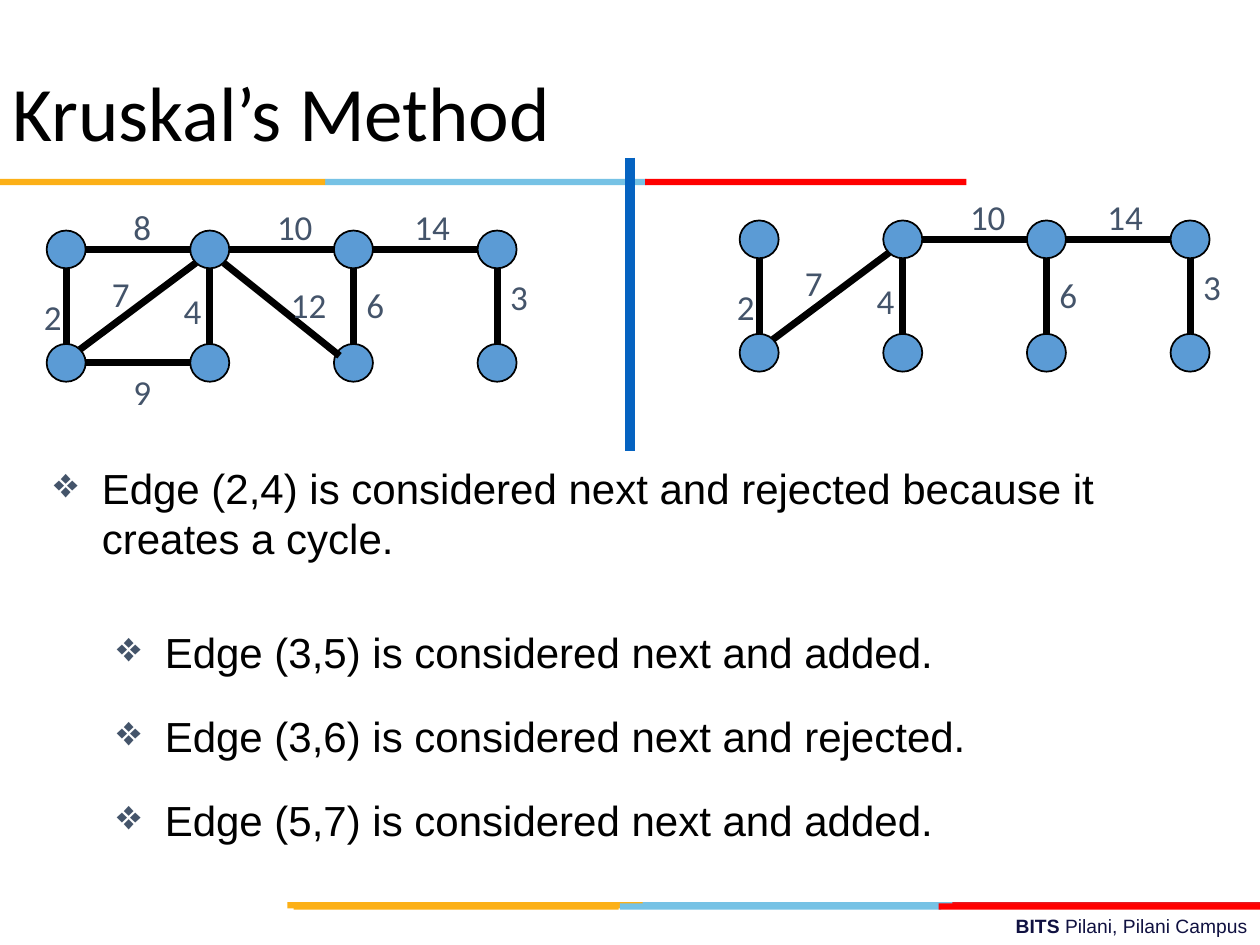
from dataclasses import dataclass

from lxml.etree import SubElement
from pptx import Presentation
from pptx.dml.color import RGBColor
from pptx.enum.shapes import MSO_CONNECTOR, MSO_SHAPE
from pptx.enum.text import MSO_ANCHOR, PP_ALIGN
from pptx.oxml.ns import qn
from pptx.util import Inches, Pt

BLACK = RGBColor(0x00, 0x00, 0x00)
SLATE = RGBColor(0x44, 0x54, 0x6A)
NODE = RGBColor(0x5B, 0x9B, 0xD5)
DIVIDER = RGBColor(0x05, 0x63, 0xC1)
NAVY = RGBColor(0x10, 0x11, 0x41)
GOLD = RGBColor(0xFC, 0xB0, 0x17)
SKY = RGBColor(0x76, 0xC2, 0xE5)
CRIMSON = RGBColor(0xE3, 0x1C, 0x24)
RED = RGBColor(0xFF, 0x00, 0x00)

SLIDE_W, SLIDE_H = 10, 7.5
NODE_W, NODE_H = 0.31, 0.3
COL_STEP, ROW_STEP = 1.14, 0.9
COLS, ROWS = 4, 2
DIAGONAL = 0.71


@dataclass(frozen=True)
class Bar:
    x: float
    y: float
    w: float
    color: RGBColor


@dataclass(frozen=True)
class Edge:
    start: tuple[int, int]
    end: tuple[int, int]
    cost: str
    label_x: float
    label_y: float
    label_w: float = 0.22
    end_drop: float = 0


@dataclass(frozen=True)
class Graph:
    x: float
    y: float
    edges: list[Edge]


BARS = [
    Bar(5.06, 7.16, 2.55, SKY),
    Bar(7.56, 7.16, 2.44, CRIMSON),
    Bar(2.28, 7.16, 2.82, GOLD),
    Bar(4.92, 7.17, 2.55, SKY),
    Bar(2.33, 7.17, 2.58, GOLD),
    Bar(7.45, 7.17, 2.55, RED),
    Bar(2.58, 1.42, 2.55, SKY),
    Bar(0, 1.42, 2.58, GOLD),
    Bar(5.12, 1.42, 2.55, RED),
]

EDGES = [
    Edge((0, 0), (0, 1), "2", -0.12, 0.47),
    Edge((1, 0), (1, 1), "4", 0.99, 0.42),
    Edge((2, 0), (2, 1), "6", 2.44, 0.37),
    Edge((3, 0), (3, 1), "3", 3.58, 0.31),
    Edge((0, 0), (1, 0), "8", 0.59, -0.25),
    Edge((1, 0), (2, 0), "10", 1.73, -0.25, 0.49),
    Edge((2, 0), (3, 0), "14", 2.82, -0.25, 0.54),
    Edge((0, 1), (1, 1), "9", 0.59, 1.06),
    Edge((0, 1), (1, 0), "7", 0.42, 0.28),
    Edge((1, 0), (2, 1), "12", 1.84, 0.37, 0.54, 0.05),
]
REJECTED = {"8", "9", "12"}
GRAPHS = [
    Graph(0.37, 1.83, EDGES),
    Graph(5.87, 1.75, [e for e in EDGES if e.cost not in REJECTED]),
]

MAIN_POINT = "Edge (2,4) is considered next and rejected because it creates a cycle."
STEPS = [
    "Edge (3,5) is considered next and added.",
    "Edge (3,6) is considered next and rejected.",
    "Edge (5,7) is considered next and added.",
]


def add_run(p, text: str, *, size: float, font: str, color: RGBColor = BLACK, bold: bool = False) -> None:
    r = p.add_run()
    r.text = text
    r.font.size = Pt(size)
    r.font.name = font
    r.font.color.rgb = color
    r.font.bold = bold


def add_box(slide, x: float, y: float, w: float, h: float):
    tf = slide.shapes.add_textbox(Inches(x), Inches(y), Inches(w), Inches(h)).text_frame
    tf.word_wrap = True
    return tf.paragraphs[0]


def add_shape(slide, kind, x: float, y: float, w: float, h: float, color: RGBColor):
    sp = slide.shapes.add_shape(kind, Inches(x), Inches(y), Inches(w), Inches(h))
    sp.shadow.inherit = False
    sp.fill.solid()
    sp.fill.fore_color.rgb = color
    sp.line.fill.background()
    return sp


def add_line(slide, x1: float, y1: float, x2: float, y2: float, color: RGBColor, width: float) -> None:
    ln = slide.shapes.add_connector(
        MSO_CONNECTOR.STRAIGHT, Inches(x1), Inches(y1), Inches(x2), Inches(y2))
    ln.line.color.rgb = color
    ln.line.width = Pt(width)
    SubElement(ln._element.spPr, qn("a:effectLst"))


def add_bullet(slide, text: str, x: float, y: float, w: float, h: float) -> None:
    p = add_box(slide, x, y, w, h)
    pPr = p._p.get_or_add_pPr()
    pPr.set("marL", str(Inches(0.38)))
    pPr.set("indent", str(Inches(-0.38)))
    SubElement(SubElement(pPr, qn("a:buClr")), qn("a:srgbClr")).set("val", str(SLATE))
    SubElement(pPr, qn("a:buChar")).set("char", "❖")
    add_run(p, text, size=24, font="Arial")


def sign(n: int) -> int:
    return (n > 0) - (n < 0)


def add_edge(slide, graph: Graph, edge: Edge) -> None:
    (c1, r1), (c2, r2) = edge.start, edge.end
    dc, dr = sign(c2 - c1), sign(r2 - r1)
    reach = DIAGONAL if dc and dr else 1
    dx, dy = dc * reach * NODE_W / 2, dr * reach * NODE_H / 2
    cx, cy = graph.x + NODE_W / 2, graph.y + NODE_H / 2
    add_line(slide, cx + c1 * COL_STEP + dx, cy + r1 * ROW_STEP + dy,
             cx + c2 * COL_STEP - dx, cy + r2 * ROW_STEP - dy + edge.end_drop, BLACK, 4)


def add_graph(slide, graph: Graph) -> None:
    for row in range(ROWS):
        for col in range(COLS):
            sp = add_shape(slide, MSO_SHAPE.OVAL, graph.x + col * COL_STEP,
                           graph.y + row * ROW_STEP, NODE_W, NODE_H, NODE)
            sp.line.color.rgb = BLACK
            sp.line.width = Pt(1)
    for edge in graph.edges:
        add_edge(slide, graph, edge)
    for edge in graph.edges:
        p = add_box(slide, graph.x + edge.label_x, graph.y + edge.label_y, edge.label_w, 0.43)
        add_run(p, edge.cost, size=20, font="Calibri", color=SLATE)


def add_title(slide, text: str) -> None:
    sp = slide.shapes.title
    sp.left, sp.top, sp.width, sp.height = Inches(0), Inches(0.3), Inches(9), Inches(1.25)
    tf = sp.text_frame
    tf.vertical_anchor = MSO_ANCHOR.MIDDLE
    p = tf.paragraphs[0]
    p.alignment = PP_ALIGN.LEFT
    p.line_spacing = 0.9
    add_run(p, text, size=44, font="Calibri")


def main() -> None:
    prs = Presentation()
    prs.slide_width, prs.slide_height = Inches(SLIDE_W), Inches(SLIDE_H)
    slide = prs.slides.add_slide(prs.slide_layouts[5])
    add_title(slide, "Kruskal’s Method")

    p = add_box(slide, 3.58, 7.21, 6.42, 0.29)
    p.alignment = PP_ALIGN.RIGHT
    add_run(p, "BITS ", size=11, font="Arial", color=NAVY, bold=True)
    add_run(p, "Pilani, Pilani Campus", size=11, font="Arial", color=NAVY)

    for bar in BARS:
        add_shape(slide, MSO_SHAPE.RECTANGLE, bar.x, bar.y, bar.w, 0.05, bar.color)
    for graph in GRAPHS:
        add_graph(slide, graph)
    add_line(slide, SLIDE_W / 2, 1.25, SLIDE_W / 2, 3.58, DIVIDER, 6)

    add_bullet(slide, MAIN_POINT, 0.33, 3.62, 9, 0.95)
    for i, step in enumerate(STEPS):
        add_bullet(slide, step, 0.83, 4.92 + i * 2 / 3, 8.5, 0.75)
    prs.save("out.pptx")


if __name__ == "__main__":
    main()
